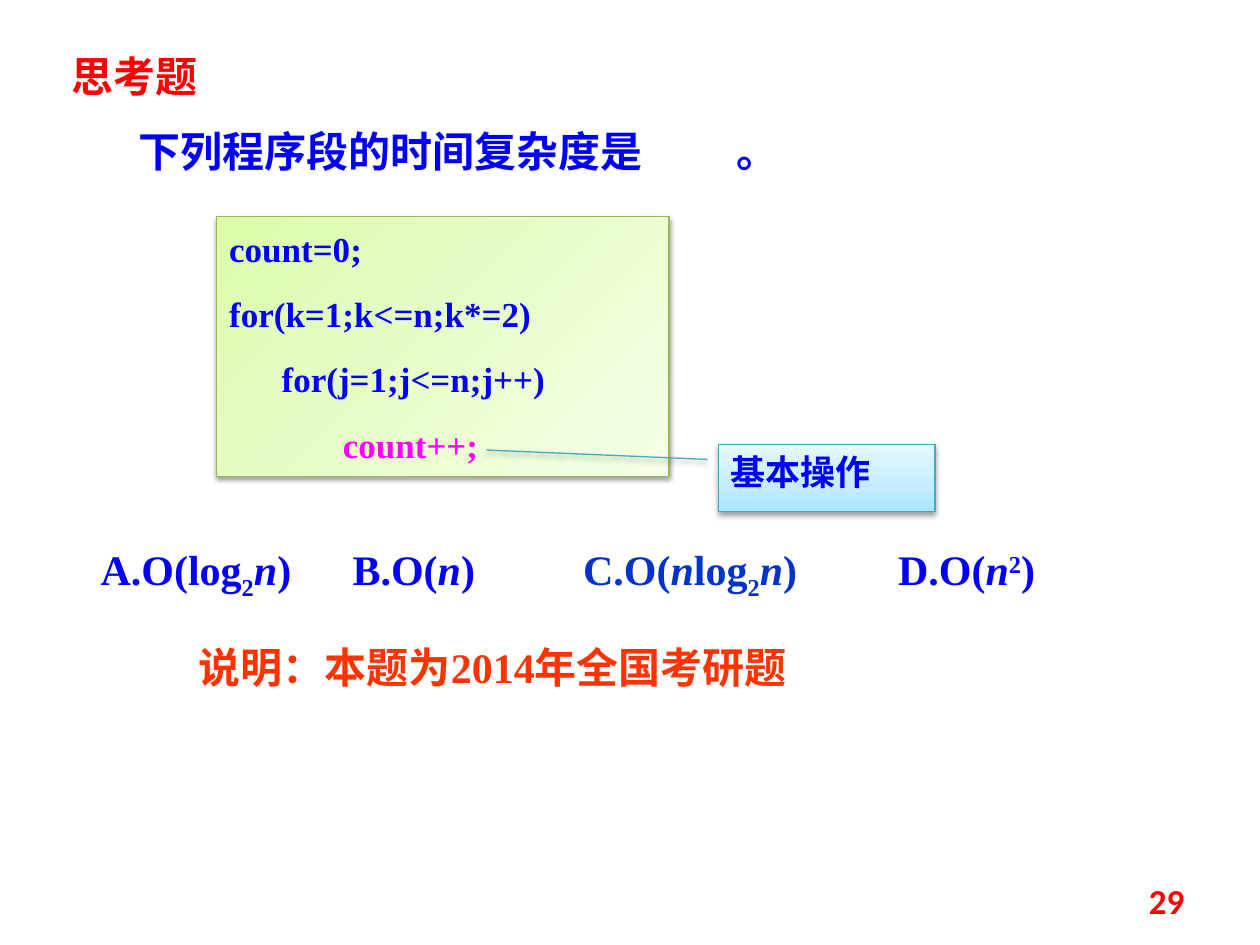
from lxml.etree import SubElement
from pptx import Presentation
from pptx.dml.color import RGBColor
from pptx.enum.shapes import MSO_SHAPE
from pptx.enum.text import MSO_ANCHOR, MSO_AUTO_SIZE, PP_ALIGN
from pptx.oxml import parse_xml
from pptx.oxml.ns import nsdecls, qn
from pptx.util import Inches, Pt

HUES = {
    "red": "FF0000", "blue": "0000FF", "navy": "0033CC", "pink": "FF00FF",
    "orange": "FF3300", "lime": "98B955", "teal": "46AAC5",
}
GREEN = {0: "DAFDA7", 35: "E4FCC2", 100: "F5FFE7"}
SKY = {0: "A7E6FF", 35: "C1EDFF", 100: "E7F8FF"}
SERIF = "Times New Roman"
HAN = "Noto Sans CJK SC"


def style(run, hue, size, face=SERIF):
    font = run.font
    font.name, font.size, font.bold = face, Pt(size), True
    font.color.rgb = RGBColor.from_string(HUES[hue])
    SubElement(font._element, qn("a:ea"), typeface=HAN)


def fit(frame):
    frame.word_wrap = True
    frame.auto_size = MSO_AUTO_SIZE.NONE
    frame.vertical_anchor = MSO_ANCHOR.TOP


def write(frame, text, hue, size, face=SERIF, space=1.1, gap=0):
    fit(frame)
    frame.text = text
    for i, line in enumerate(frame.paragraphs):
        line.alignment = PP_ALIGN.LEFT
        line.line_spacing = space
        line.space_before = Pt(gap if i else 0)
        for run in line.runs:
            style(run, hue, size, face)


def label(slide, box, text, hue, size, face=SERIF):
    frame = slide.shapes.add_textbox(*map(Inches, box)).text_frame
    write(frame, text, hue, size, face)
    return frame


def set_tabs(line, stops):
    tabs = SubElement(line._p.get_or_add_pPr(), qn("a:tabLst"))
    for stop in stops:
        SubElement(tabs, qn("a:tab"), pos=str(Inches(stop)), algn="l")


def add_runs(line, parts, size):
    for text, hue, mark in parts:
        run = line.add_run()
        run.text = text
        style(run, hue, size)
        if mark == "i":
            run.font.italic = True
        elif mark == "u":
            run.font.underline = True
        elif mark:
            run.font._element.set("baseline", mark)


def rich(slide, box, stops, parts):
    frame = slide.shapes.add_textbox(*map(Inches, box)).text_frame
    fit(frame)
    line = frame.paragraphs[0]
    set_tabs(line, stops)
    line.line_spacing = 1.1
    add_runs(line, parts, 24)


def panel(slide, kind, box, stops, angle, edge):
    shape = slide.shapes.add_shape(kind, *map(Inches, box))
    shape.line.color.rgb = RGBColor.from_string(HUES[edge])
    shape.line.width = Pt(0.75)
    marks = "".join(
        f'<a:gs pos="{pos * 1000}"><a:srgbClr val="{hue}"/></a:gs>'
        for pos, hue in stops.items())
    fill = parse_xml(
        f'<a:gradFill {nsdecls("a")} rotWithShape="1"><a:gsLst>{marks}</a:gsLst>'
        f'<a:lin ang="{angle * 60000}" scaled="0"/></a:gradFill>')
    shape._element.spPr.find(qn("a:ln")).addprevious(fill)
    shade = parse_xml(
        f'<a:effectLst {nsdecls("a")}><a:outerShdw blurRad="{Pt(3.1)}" '
        f'dist="{Pt(1.6)}" dir="5400000" rotWithShape="0">'
        '<a:srgbClr val="000000"><a:alpha val="38000"/></a:srgbClr>'
        '</a:outerShdw></a:effectLst>')
    shape._element.spPr.append(shade)
    return shape


def add_title(slide):
    title = slide.shapes.title
    title.left, title.top = Inches(0.47), Inches(0.31)
    title.width, title.height = Inches(6.88), Inches(0.6)
    write(title.text_frame, "思考题", "red", 24, HAN)


def add_code(slide):
    box = panel(slide, MSO_SHAPE.RECTANGLE, (1.72, 1.72, 3.59, 2.06),
                GREEN, 45, "lime")
    code = ("count=0;\nfor(k=1;k<=n;k*=2)\n"
            "      for(j=1;j<=n;j++)\n             count++;")
    write(box.text_frame, code, "blue", 20, gap=11)
    last = box.text_frame.paragraphs[-1].runs[0]
    last.font.color.rgb = RGBColor.from_string(HUES["pink"])


def add_note(slide):
    note = panel(slide, MSO_SHAPE.LINE_CALLOUT_2, (5.7, 3.53, 1.72, 0.53),
                 SKY, 270, "teal")
    for i, value in enumerate((0.22, -0.05, 0.22, -0.05, 0.08, -1.07)):
        note.adjustments[i] = value
    write(note.text_frame, "基本操作", "blue", 20, HAN, space=1)


def main():
    deck = Presentation()
    deck.slide_width, deck.slide_height = Inches(10), Inches(7.5)
    slide = deck.slides.add_slide(deck.slide_layouts[5])
    add_title(slide)
    rich(slide, (1, 0.91, 6.35, 0.6), [4.75], [
        ("下列程序段的时间复杂度是", "blue", ""),
        ("\t", "blue", "u"), ("。", "blue", "")])
    rich(slide, (0.7, 4.22, 8.2, 0.51), [2, 3.83, 6.33], [
        ("A.O(log", "blue", ""), ("2", "blue", "-25000"),
        ("n", "blue", "i"), (")\tB.O(", "blue", ""),
        ("n", "blue", "i"), (")\t", "blue", ""),
        ("C.O(", "navy", ""), ("n", "navy", "i"),
        ("log", "navy", ""), ("2", "navy", "-25000"),
        ("n", "navy", "i"), (")\t", "navy", ""),
        ("D.O(", "blue", ""), ("n", "blue", "i"),
        ("2", "blue", "30000"), (")", "blue", "")])
    add_code(slide)
    label(slide, (1.48, 5, 5.67, 0.55), "说明：本题为2014年全国考研题",
          "orange", 24)
    add_note(slide)
    page = label(slide, (7.17, 6.95, 2.33, 0.4), "29", "red", 20, "Calibri")
    page.vertical_anchor = MSO_ANCHOR.MIDDLE
    page.paragraphs[0].alignment = PP_ALIGN.RIGHT
    page.paragraphs[0].line_spacing = 1
    deck.save("out.pptx")


if __name__ == "__main__":
    main()
